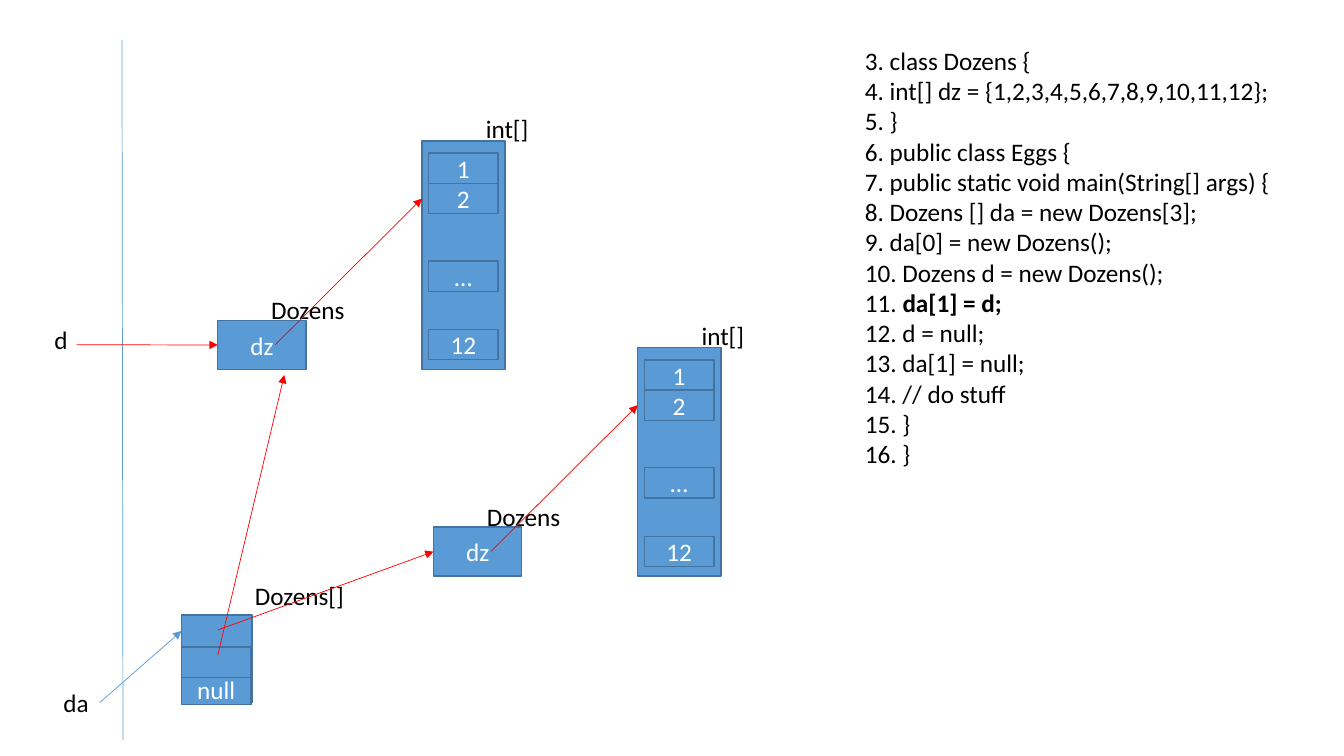
"""Draw the heap and stack diagram of the Dozens program beside its code."""
from dataclasses import dataclass
from typing import Optional

import lxml.etree
import pptx
import pptx.dml.color
import pptx.enum.shapes
import pptx.enum.text
import pptx.oxml
import pptx.oxml.ns
import pptx.util

BLUE = pptx.dml.color.RGBColor(0x5B, 0x9B, 0xD5)
DARK_BLUE = pptx.dml.color.RGBColor(0x43, 0x73, 0x9E)
RED = pptx.dml.color.RGBColor(0xFF, 0x00, 0x00)
BLACK = pptx.dml.color.RGBColor(0x00, 0x00, 0x00)
WHITE = pptx.dml.color.RGBColor(0xFF, 0xFF, 0xFF)

FONT_NAME = "Calibri"
FONT_SIZE = pptx.util.Pt(18)
GRID_STEP = pptx.util.Inches(0.1)
LEFT_SIDE = 1
LABEL_ROWS = 4
CELL_COLUMNS, CELL_ROWS = 6.9, 3
HIGHLIGHTED = "da[1] = d;"
CODE = (
    "3. class Dozens {",
    "4. int[] dz = {1,2,3,4,5,6,7,8,9,10,11,12};",
    "5. }",
    "6. public class Eggs {",
    "7. public static void main(String[] args) {",
    "8. Dozens [] da = new Dozens[3];",
    "9. da[0] = new Dozens();",
    "10. Dozens d = new Dozens();",
    "11. da[1] = d;",
    "12. d = null;",
    "13. da[1] = null;",
    "14. // do stuff",
    "15. }",
    "16. }",
)


@dataclass(frozen=True)
class Box:
    """A filled rectangle in grid columns and rows."""
    column: float
    row: float
    columns: float
    rows: float
    text: str = ""


@dataclass(frozen=True)
class Label:
    """A block of black text in grid columns and rows."""
    column: float
    row: float
    columns: float
    lines: tuple[str, ...]
    rows: float = LABEL_ROWS


@dataclass(frozen=True)
class Link:
    """A straight line in grid columns and rows."""
    start: tuple[float, float]
    end: tuple[float, float]
    color: pptx.dml.color.RGBColor = RED
    arrow: bool = True


def grid(steps: float) -> int:
    """Turn grid steps into a length."""
    return round(steps * GRID_STEP)


def add_run(paragraph, text: str, color: pptx.dml.color.RGBColor, bold: bool = False) -> None:
    """Add one styled run to a paragraph."""
    run = paragraph.add_run()
    run.text = text
    run.font.name = FONT_NAME
    run.font.size = FONT_SIZE
    run.font.bold = bold
    run.font.color.rgb = color


def draw_box(slide, box: Box):
    """Draw a rectangle with centred white text."""
    shape = slide.shapes.add_shape(
        pptx.enum.shapes.MSO_SHAPE.RECTANGLE,
        grid(box.column), grid(box.row), grid(box.columns), grid(box.rows))
    shape.shadow.inherit = False
    shape.fill.solid()
    shape.fill.fore_color.rgb = BLUE
    shape.line.color.rgb = DARK_BLUE
    shape.line.width = pptx.util.Pt(1)
    if box.text:
        shape.text_frame.vertical_anchor = pptx.enum.text.MSO_ANCHOR.MIDDLE
        paragraph = shape.text_frame.paragraphs[0]
        paragraph.alignment = pptx.enum.text.PP_ALIGN.CENTER
        add_run(paragraph, box.text, WHITE)
    return shape


def draw_label(slide, label: Label) -> None:
    """Draw unwrapped lines of text, with the highlighted statement bold."""
    shape = slide.shapes.add_textbox(
        grid(label.column), grid(label.row), grid(label.columns), grid(label.rows))
    frame = shape.text_frame
    frame.word_wrap = False
    frame.auto_size = pptx.enum.text.MSO_AUTO_SIZE.SHAPE_TO_FIT_TEXT
    for index, line in enumerate(label.lines):
        paragraph = frame.add_paragraph() if index else frame.paragraphs[0]
        before, statement, _ = line.partition(HIGHLIGHTED)
        add_run(paragraph, before, BLACK)
        if statement:
            add_run(paragraph, statement, BLACK, bold=True)


def draw_link(slide, link: Link, target=None) -> None:
    """Draw a line, joined to the left side of its target if there is one."""
    connector = slide.shapes.add_connector(
        pptx.enum.shapes.MSO_CONNECTOR.STRAIGHT,
        *(grid(steps) for steps in link.start + link.end))
    if target is not None:
        connector.end_connect(target, LEFT_SIDE)
    connector.line.color.rgb = link.color
    connector.line.width = pptx.util.Pt(0.5)
    if link.arrow:
        outline = connector.line._get_or_add_ln()
        lxml.etree.SubElement(outline, pptx.oxml.ns.qn("a:tailEnd"), type="triangle")
    lxml.etree.SubElement(connector._element.spPr, pptx.oxml.ns.qn("a:effectLst"))


def draw_dozens(slide, column: float, row: float):
    """Draw a Dozens object with its int array and return the object box."""
    dozens = draw_box(slide, Box(column, row, 8.75, 4.85, "dz"))
    draw_label(slide, Label(column + 4.3, row - 3.1, 9.4, ("Dozens",)))
    draw_box(slide, Box(column + 20.25, row - 17.8, 8.25, 22.65))
    cells: dict[str, float] = {"1": -16.6, "2": -13.6, "12": 0.9, "…": -5.9}
    for text, offset in cells.items():
        draw_box(slide, Box(column + 20.9, row + offset, CELL_COLUMNS, CELL_ROWS, text))
    draw_label(slide, Label(column + 25.6, row - 21, 6.3, ("int[]",)))
    draw_link(slide, Link((column + 5.7, row + 2.4), (column + 20.25, row - 12.1)))
    return dozens


def draw_array(slide):
    """Draw the Dozens array and return its first cell."""
    draw_box(slide, Box(18.2, 61.2, 6.8, 8.5))
    draw_label(slide, Label(24.3, 57.1, 10.9, ("Dozens[]",)))
    draw_box(slide, Box(18, 66.9, CELL_COLUMNS, CELL_ROWS, "null"))
    first_cell = draw_box(slide, Box(18, 61, 7, 3.2))
    draw_box(slide, Box(18, 64.2, CELL_COLUMNS, CELL_ROWS))
    return first_cell


def draw_slide(slide: Optional[object]) -> None:
    """Draw the code, the stack variables and the heap objects."""
    draw_label(slide, Label(84.8, 4, 42.6, CODE, 43.4))
    draw_link(slide, Link((12.1, 4), (12.2, 73.4), BLUE, arrow=False))
    draw_label(slide, Label(5.3, 67.7, 4.6, ("da",)))
    first_cell = draw_array(slide)
    draw_link(slide, Link((9.9, 69.7), (18, 62.6), BLUE), first_cell)
    first_dozens = draw_dozens(slide, 43, 52.3)
    draw_link(slide, Link((21.6, 62.5), (43, 54.7)), first_dozens)
    second_dozens = draw_dozens(slide, 21.6, 31.8)
    draw_label(slide, Label(4.4, 31.7, 3.4, ("d",)))
    draw_link(slide, Link((7.6, 34.2), (21.6, 34.2)), second_dozens)
    draw_link(slide, Link((21.6, 65), (28.2, 37.2)))


def main() -> None:
    """Build and save the presentation."""
    presentation = pptx.Presentation()
    presentation.slide_width = pptx.util.Inches(13.33)
    presentation.slide_height = pptx.util.Inches(7.5)
    draw_slide(presentation.slides.add_slide(presentation.slide_layouts[6]))
    presentation.save("out.pptx")


if __name__ == "__main__":
    main()
